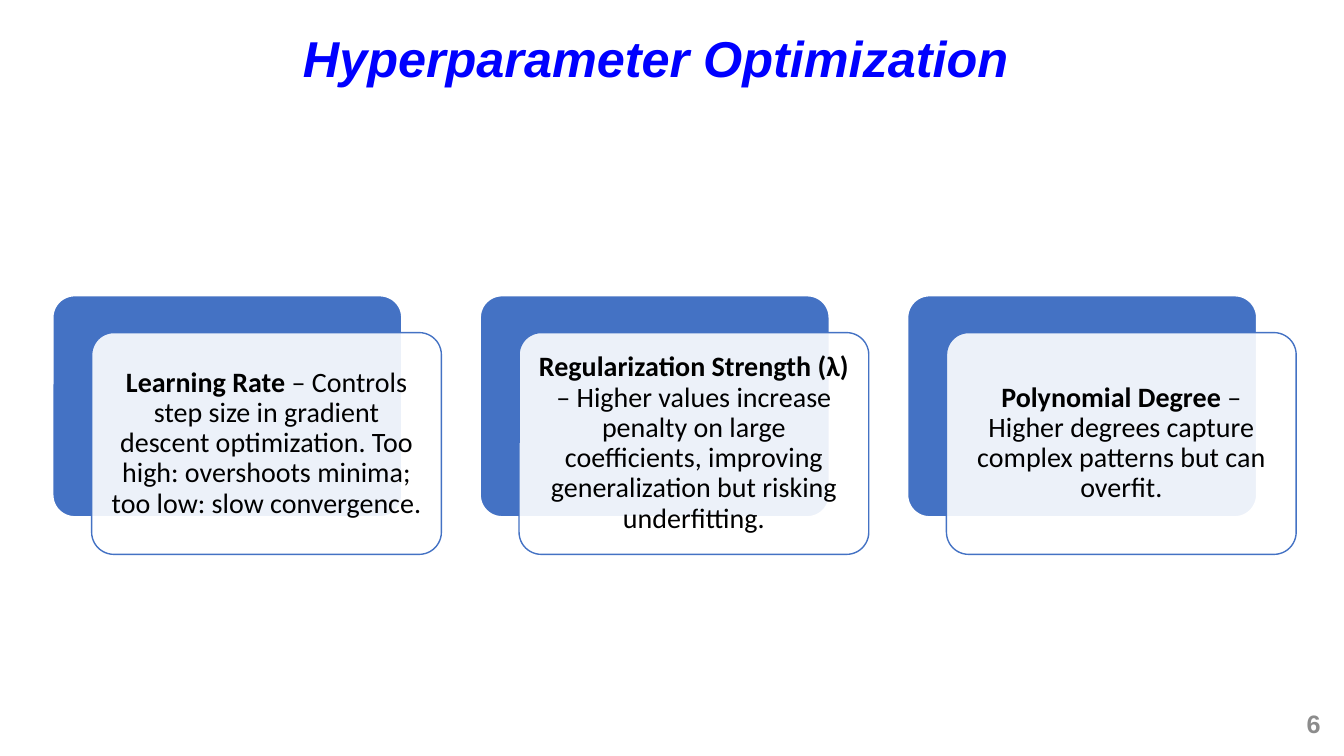
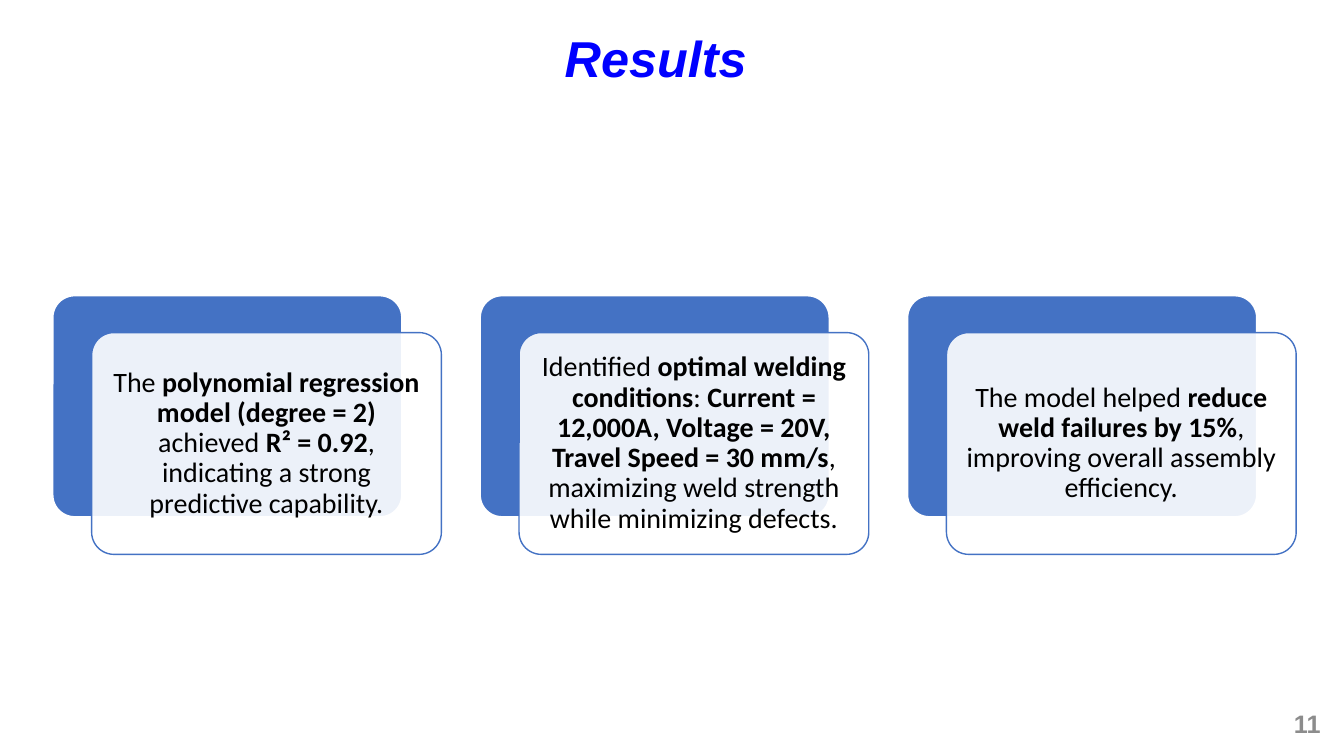
from lxml import etree
from pptx import Presentation
from pptx.dml.color import RGBColor
from pptx.enum import shapes, text
from pptx.oxml.ns import qn
from pptx.util import Pt

BLUE, WHITE, BLACK = "4472C4", "FFFFFF", "000000"
TITLE_BLUE, NUMBER_GRAY = "0000FF", "8C8C8C"
TITLE_BOX = (109.5, 8.6, 717.8, 70.6)
NUMBER_BOX = (907.2, 504, 43.2, 28.8)
CARDS_LEFT, CARDS_TOP, CARD_STEP = 37.5, 211, 305.3
PANEL_WIDTH, PANEL_HEIGHT = 249.8, 158.4
PANEL_SHIFT = (28, 26.6)

# Bold passages stand between double asterisks.
SLIDES = [
    ("Hyperparameter Optimization", "6", [
        "**Learning Rate** – Controls step size in gradient descent optimization. "
        "Too high: overshoots minima; too low: slow convergence.",
        "**Regularization Strength (λ)** – Higher values increase penalty on large "
        "coefficients, improving generalization but risking underfitting.",
        "**Polynomial Degree** – Higher degrees capture complex patterns but can overfit.",
    ]),
    ("Results", "11", [
        "The **polynomial regression model (degree = 2)** achieved **R² = 0.92**, "
        "indicating a strong predictive capability.",
        "Identified **optimal welding conditions**: **Current = 12,000A, Voltage = 20V, "
        "Travel Speed = 30 mm/s**, maximizing weld strength while minimizing defects.",
        "The model helped **reduce weld failures by 15%**, improving overall "
        "assembly efficiency.",
    ]),
]


def color(hex_value):
    return RGBColor.from_string(hex_value)


def format_run(run, font_name, size, hex_value, bold=True, italic=False):
    font = run.font
    font.name, font.size = font_name, Pt(size)
    font.bold, font.italic = bold, italic
    font.color.rgb = color(hex_value)


def prepare_text(shape, alignment):
    """Centre the text vertically and return its first paragraph."""
    frame = shape.text_frame
    frame.word_wrap = True
    frame.auto_size = text.MSO_AUTO_SIZE.NONE
    frame.vertical_anchor = text.MSO_ANCHOR.MIDDLE
    paragraph = frame.paragraphs[0]
    paragraph.alignment = alignment
    paragraph.line_spacing = 0.9
    return paragraph


def add_title(slide, title_text, box):
    title = slide.shapes.title
    title.left, title.top, title.width, title.height = map(Pt, box)
    paragraph = prepare_text(title, text.PP_ALIGN.CENTER)
    paragraph.text = title_text
    format_run(paragraph.runs[0], "Arial", 36, TITLE_BLUE, italic=True)


def add_page_number(slide, number, box):
    number_box = slide.shapes.add_textbox(*map(Pt, box))
    paragraph = prepare_text(number_box, text.PP_ALIGN.RIGHT)
    paragraph.text = number
    format_run(paragraph.runs[0], "Arial", 18, NUMBER_GRAY)


def add_panel(group, left, top, fill, line, line_width):
    panel = group.shapes.add_shape(
        shapes.MSO_SHAPE.ROUNDED_RECTANGLE,
        *map(Pt, (left, top, PANEL_WIDTH, PANEL_HEIGHT)))
    panel.adjustments[0] = 0.1
    panel.shadow.inherit = False
    panel.fill.solid()
    panel.fill.fore_color.rgb = color(fill)
    panel.line.color.rgb = color(line)
    panel.line.width = Pt(line_width)
    return panel


def set_opacity(shape, percent):
    fill_color = shape.fill._xPr.find(qn("a:solidFill"))[0]
    etree.SubElement(fill_color, qn("a:alpha")).set("val", str(percent * 1000))


def add_card(group, left, top, marked_text):
    """Place a blue panel with a translucent text panel shifted over it."""
    add_panel(group, left, top, BLUE, WHITE, 1.5)
    front = add_panel(group, left + PANEL_SHIFT[0], top + PANEL_SHIFT[1], WHITE, BLUE, 1)
    set_opacity(front, 90)
    paragraph = prepare_text(front, text.PP_ALIGN.CENTER)
    frame = front.text_frame
    frame.margin_left = frame.margin_right = Pt(5.8)
    frame.margin_top = frame.margin_bottom = Pt(5.8)
    for index, passage in enumerate(marked_text.split("**")):
        if passage:
            run = paragraph.add_run()
            run.text = passage
            format_run(run, "Calibri", 20, BLACK, bold=index % 2 == 1)


def add_card_row(slide, left, top, card_texts):
    group = slide.shapes.add_group_shape()
    for index, card_text in enumerate(card_texts):
        add_card(group, left + index * CARD_STEP, top, card_text)


def add_card_slide(presentation, title_text, number, card_texts):
    slide = presentation.slides.add_slide(presentation.slide_layouts.get_by_name("Title Only"))
    add_title(slide, title_text, TITLE_BOX)
    add_page_number(slide, number, NUMBER_BOX)
    add_card_row(slide, CARDS_LEFT, CARDS_TOP, card_texts)


def main():
    presentation = Presentation()
    presentation.slide_width, presentation.slide_height = Pt(960), Pt(540)
    for title_text, number, card_texts in SLIDES:
        add_card_slide(presentation, title_text, number, card_texts)
    presentation.save("out.pptx")


if __name__ == "__main__":
    main()
